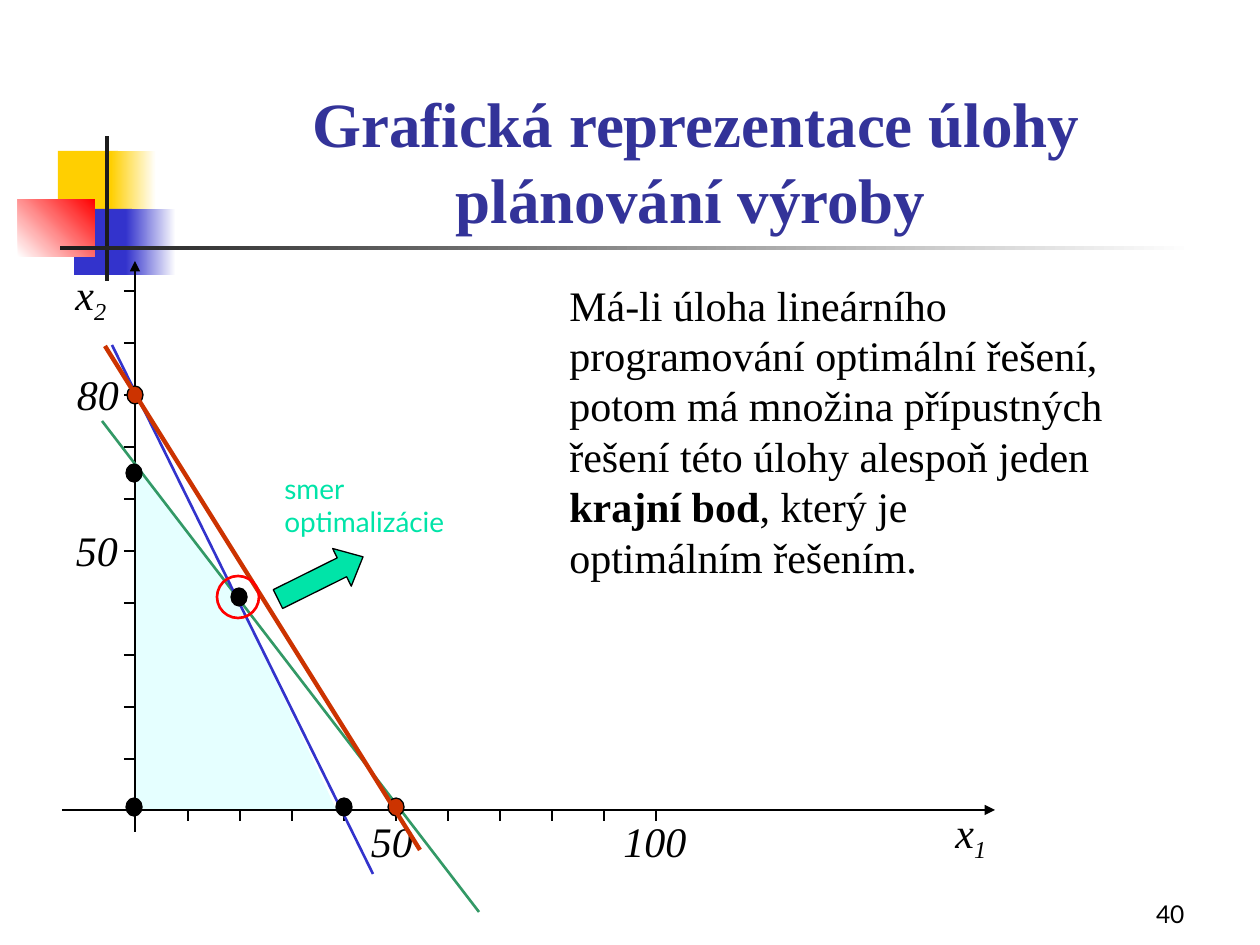
from lxml import etree
from pptx import Presentation
from pptx.dml.color import RGBColor
from pptx.enum.shapes import MSO_CONNECTOR, MSO_SHAPE
from pptx.enum.text import MSO_ANCHOR, MSO_AUTO_SIZE, PP_ALIGN
from pptx.oxml.ns import qn
from pptx.util import Emu, Pt

RECT, OVAL, ARROW = MSO_SHAPE.RECTANGLE, MSO_SHAPE.OVAL, MSO_SHAPE.RIGHT_ARROW
STRAIGHT = MSO_CONNECTOR.STRAIGHT
LEFT, CENTER, RIGHT = PP_ALIGN.LEFT, PP_ALIGN.CENTER, PP_ALIGN.RIGHT
TOP, BOTTOM = MSO_ANCHOR.TOP, MSO_ANCHOR.BOTTOM
GROW, FIXED = MSO_AUTO_SIZE.SHAPE_TO_FIT_TEXT, MSO_AUTO_SIZE.NONE

PX = 914400 / 126  # EMU in one px
SERIF, SANS = "Times New Roman", "Lato"
COLORS = {
    "white": "FFFFFF", "black": "000000", "ink": "1C1C1C", "yellow": "FFCF01",
    "blue": "3333CC", "red": "FF0000", "title": "333399", "region": "CCFFFF",
    "green": "339966", "objective": "CC3300", "mint": "00E4A8",
}

# Content: runs are (text, style)
TITLE = [("Grafická reprezentace úlohy plánování výroby", {"bold": True}),
         (" ", {"size": 24})]
THEOREM = [
    ("Má-li úloha lineárního programování optimální řešení, potom má množina "
     "přípustných řešení této úlohy alespoň jeden ", {}),
    ("krajní bod", {"bold": True}),
    (", který je optimálním řešením.", {}),
]
DIRECTION = [("smer optimalizácie", {})]
PAGE = [("40", {})]

# Decoration: box, start colour, end colour (None = solid), angle
DECORATION = [
    ((58, 151, 60, 66), "yellow", None, 0),
    ((111, 151, 45, 66), "yellow", "white", 0),
    ((74, 209, 58, 66), "blue", None, 0),
    ((126, 209, 50, 66), "blue", "white", 0),
    ((18, 199, 77, 58), "white", "red", 45),
    ((105, 136, 4, 145), "ink", None, 0),
    ((60, 246, 1134, 4), "ink", "white", 0),
]

# Graph
REGION = [(136, 462), (136, 809), (336, 809), (236, 596)]
AXES = [((135, 261), (135, 832), "headEnd"), ((62, 810), (995, 810), "tailEnd")]
TICK, TICK_STEP, TICK_COUNT = 11, 52, 10
FIRST_X_TICK, FIRST_Y_TICK = 188, 291
AXIS_NAMES = [("1", (943, 800)), ("2", (63, 262))]
AXIS_VALUES = [("50", (329, 809)), ("50", (34, 518)),
               ("100", (592, 809)), ("80", (35, 362))]
CONSTRAINTS = [((102, 421), (479, 912), "green"), ((112, 345), (373, 874), "blue")]
OBJECTIVE = ((105, 346), (420, 850))
POINTS_BELOW = [((126, 464), "black"), ((127, 386), "objective"),
                ((388, 798), "objective")]
POINTS_ABOVE = [((231, 588), "black"), ((336, 798), "black"), ((126, 798), "black")]
POINT_SIZE = (16, 18)


def rgb(name):
    return RGBColor.from_string(COLORS[name])


def emu(*lengths):
    return [Emu(round(length * PX)) for length in lengths]


def add_shape(kind, box, fill=None, line=None, width=0.75):
    shape = slide.shapes.add_shape(kind, *emu(*box))
    paint(shape, fill, line, width)
    return shape


def paint(shape, fill, line=None, width=0.75):
    shape.shadow.inherit = False
    if fill:
        shape.fill.solid()
        shape.fill.fore_color.rgb = rgb(fill)
    else:
        shape.fill.background()
    if line:
        shape.line.color.rgb = rgb(line)
        shape.line.width = Pt(width)
    else:
        shape.line.fill.background()


def add_line(start, end, color="black", width=0.75, arrow=None):
    line = slide.shapes.add_connector(STRAIGHT, *emu(*start, *end))
    line.line.color.rgb = rgb(color)
    line.line.width = Pt(width)
    if arrow:
        etree.SubElement(line.line._get_or_add_ln(), qn(f"a:{arrow}"), type="triangle")
    etree.SubElement(line._element.spPr, qn("a:effectLst"))


def add_text(box, runs, size=24, color="black", font=SERIF, align=LEFT,
             anchor=TOP, fit=GROW):
    frame = slide.shapes.add_textbox(*emu(*box)).text_frame
    frame.word_wrap = True
    frame.auto_size = fit
    frame.vertical_anchor = anchor
    paragraph = frame.paragraphs[0]
    paragraph.alignment = align
    for text, style in runs:
        run = paragraph.add_run()
        run.text = text
        run.font.name = font
        run.font.size = Pt(style.get("size", size))
        run.font.bold = style.get("bold", False)
        run.font.italic = style.get("italic", False)
        run.font.color.rgb = rgb(color)
        if "baseline" in style:
            run._r.get_or_add_rPr().set("baseline", str(style["baseline"]))


def add_points(points):
    for corner, color in points:
        add_shape(OVAL, (*corner, *POINT_SIZE), color, "black")


prs = Presentation()
prs.slide_width, prs.slide_height = emu(1260, 945)
slide = prs.slides.add_slide(prs.slide_layouts[6])

# Corner decoration and rule under the title
for box, start, end, angle in DECORATION:
    block = add_shape(RECT, box, start)
    if end:
        block.fill.gradient()
        block.fill.gradient_angle = angle
        for stop, color, position in zip(block.fill.gradient_stops, (start, end), (0, 1)):
            stop.color.rgb = rgb(color)
            stop.position = position

add_text((935, 872, 262, 63), PAGE, 14, font=SANS, align=RIGHT, anchor=BOTTOM, fit=FIXED)

# Feasible region, half transparent
builder = slide.shapes.build_freeform(*REGION[0], scale=PX)
builder.add_line_segments(REGION[1:], close=True)
region = builder.convert_to_shape()
paint(region, "region")
region_color = region._element.spPr.find(qn("a:solidFill"))[0]
etree.SubElement(region_color, qn("a:alpha"), val="50000")

add_text((159, 84, 1074, 158), TITLE, 36, "title", align=CENTER, anchor=BOTTOM, fit=FIXED)

# Axes, ticks and their labels
for index, corner in AXIS_NAMES:
    add_text((*corner, 136, 71), [("x", {"italic": True}),
                                  (index, {"italic": True, "baseline": -25000})])
for start, end, arrow in AXES:
    add_line(start, end, arrow=arrow)
for i in range(TICK_COUNT):
    x = FIRST_X_TICK + i * TICK_STEP
    y = FIRST_Y_TICK + i * TICK_STEP
    add_line((x, 810), (x, 810 + TICK))
    add_line((135 - TICK, y), (135, y))
for value, corner in AXIS_VALUES:
    add_text((*corner, 126, 63), [(value, {"italic": True})], align=CENTER)

# Constraints, objective and corner points
for start, end, color in CONSTRAINTS:
    add_line(start, end, color, 1.5)
add_points(POINTS_BELOW)
add_line(*OBJECTIVE, "objective", 2.5)
add_points(POINTS_ABOVE)

# Theorem, direction of optimisation and the optimum
add_text((557, 273, 567, 315), THEOREM)
direction = add_shape(ARROW, (273, 557, 95, 42), "mint", "black")
direction.adjustments[0], direction.adjustments[1] = 0.5, 0.56
direction.rotation = 333.6
add_shape(OVAL, (217, 576, 42, 42), line="red", width=1.5)
add_text((272, 465, 190, 113), DIRECTION, 16, "mint", SANS)

prs.save("out.pptx")
